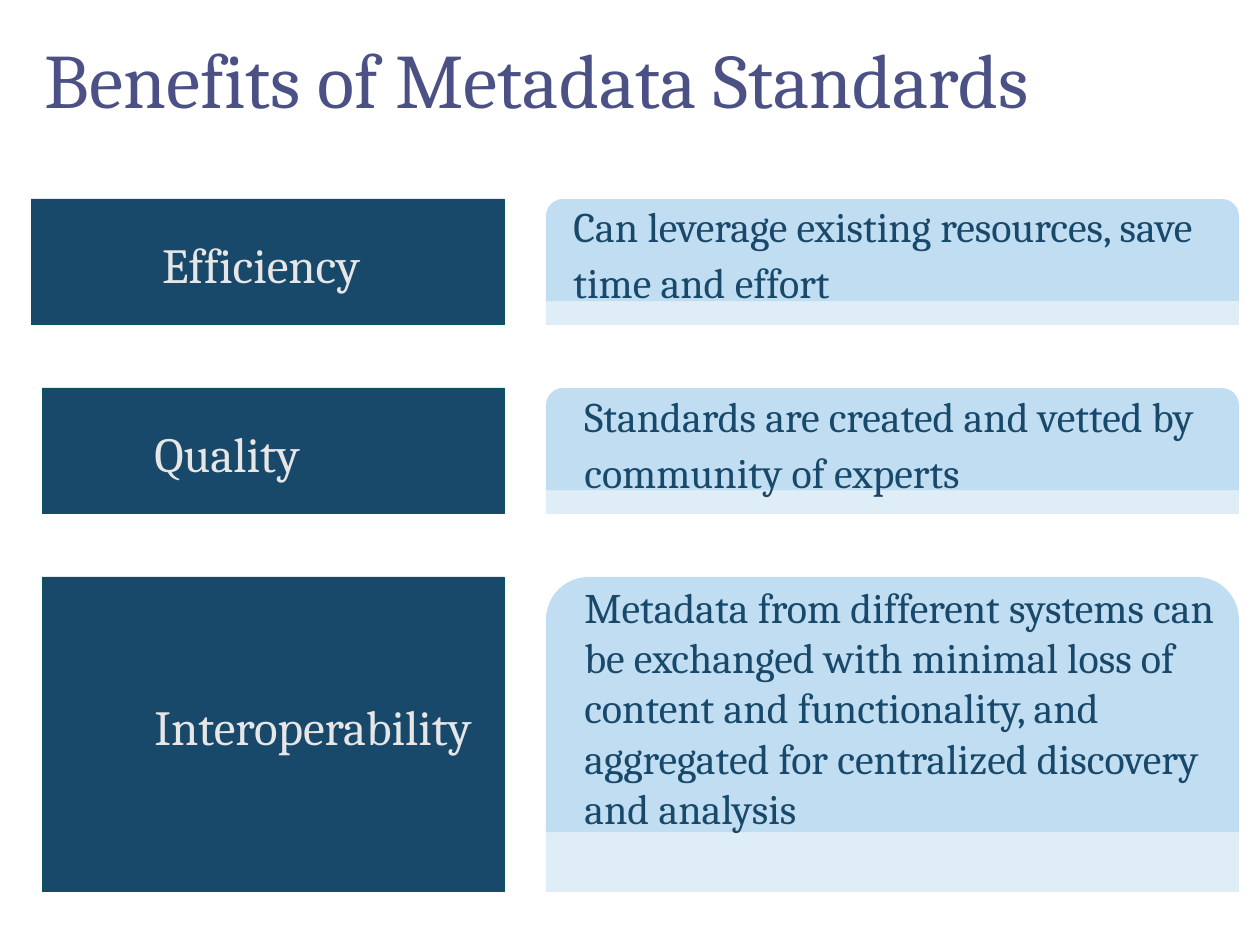
"""Build the slide on the benefits of metadata standards."""
from lxml.etree import SubElement
from pptx import Presentation
from pptx.dml.color import RGBColor
from pptx.enum.shapes import MSO_SHAPE as Shape
from pptx.enum.text import MSO_ANCHOR as Anchor, MSO_AUTO_SIZE as AutoSize, PP_ALIGN as Align
from pptx.oxml.ns import qn
from pptx.util import Pt

NAVY = RGBColor(0x18, 0x49, 0x6B)
TEAL = RGBColor(0x09, 0x54, 0x57)
SKY = RGBColor(0xC1, 0xDD, 0xF1)
PALE = RGBColor(0xE7, 0xE6, 0xE6)
VIOLET = RGBColor(0x4B, 0x51, 0x85)
FONT = "Cambria"
PX = 914400 / 126

HEADING = "Benefits of Metadata Standards"
BENEFITS = [
    dict(name="Efficiency", detail="Can leverage existing resources, save time and effort",
         top=199, height=126, bar_left=31, name_box=(95, 231, 285, 69), name_align=Align.CENTER,
         detail_box=(514, 189, 746, 125), detail_spacing=Pt(32)),
    dict(name="Quality", detail="Standards are created and vetted by community of experts",
         top=388, height=126, bar_left=42, name_box=(95, 420, 345, 69), name_align=Align.LEFT,
         detail_box=(525, 379, 714, 125), detail_spacing=Pt(32)),
    dict(name="Interoperability",
         detail="Metadata from different systems can be exchanged with minimal loss of content "
                "and functionality, and aggregated for centralized discovery and analysis",
         top=577, height=315, bar_left=42, name_box=(95, 693, 494, 69), name_align=Align.LEFT,
         detail_box=(525, 575, 703, 267), detail_spacing=1.0),
]
BAR_RIGHT = 504
PANEL_LEFT, PANEL_WIDTH = 546, 693
TAB_SHARE, BASE_START = 0.81, 0.8
INDENT = 47


def px(*lengths):
    return [round(length * PX) for length in lengths]


def style(paragraph, size, color):
    for run in paragraph.runs:
        run.font.name = FONT
        run.font.size = Pt(size)
        run.font.color.rgb = color


def add_block(shapes, kind, box, color, opacity=None):
    block = shapes.add_shape(kind, *px(*box))
    block.shadow.inherit = False
    block.fill.solid()
    block.fill.fore_color.rgb = color
    block.line.fill.background()
    if opacity is not None:
        tint = block.fill._xPr.find(qn("a:solidFill"))[0]
        SubElement(tint, qn("a:alpha")).set("val", str(opacity * 1000))
    return block


def add_text(shapes, text, box, size, color, align, spacing):
    frame = shapes.add_textbox(*px(*box)).text_frame
    frame.word_wrap = True
    frame.auto_size = AutoSize.SHAPE_TO_FIT_TEXT
    paragraph = frame.paragraphs[0]
    paragraph.text = text
    paragraph.level = 1
    paragraph.alignment = align
    paragraph.line_spacing = spacing
    properties = paragraph._p.get_or_add_pPr()
    properties.set("marL", str(px(INDENT)[0]))
    properties.set("indent", "0")
    style(paragraph, size, color)


def add_benefit(shapes, name, detail, top, height, bar_left, name_box, name_align,
                detail_box, detail_spacing):
    bar = add_block(shapes, Shape.RECTANGLE, (bar_left, top, BAR_RIGHT - bar_left, height), NAVY)
    bar.line.color.rgb = TEAL
    bar.line.width = Pt(0.5)
    panel = shapes.add_group_shape().shapes
    add_block(panel, Shape.ROUND_2_SAME_RECTANGLE,
              (PANEL_LEFT, top, PANEL_WIDTH, height * TAB_SHARE), SKY)
    add_block(panel, Shape.RECTANGLE,
              (PANEL_LEFT, top + height * BASE_START, PANEL_WIDTH, height * (1 - BASE_START)),
              SKY, opacity=50)
    add_text(shapes, detail, detail_box, 24, NAVY, Align.LEFT, detail_spacing)
    add_text(shapes, name, name_box, 28, PALE, name_align, Pt(32))


def main():
    deck = Presentation()
    deck.slide_width, deck.slide_height = px(1260, 945)
    slide = deck.slides.add_slide(deck.slide_layouts[5])
    title = slide.shapes.title
    title.left, title.top, title.width, title.height = px(32, 21, 1198, 126)
    title.text_frame.text = HEADING
    title.text_frame.auto_size = AutoSize.NONE
    title.text_frame.vertical_anchor = Anchor.MIDDLE
    heading = title.text_frame.paragraphs[0]
    heading.alignment = Align.LEFT
    heading.line_spacing = 0.9
    style(heading, 44, VIOLET)
    for benefit in BENEFITS:
        add_benefit(slide.shapes, **benefit)
    deck.save("out.pptx")


if __name__ == "__main__":
    main()
